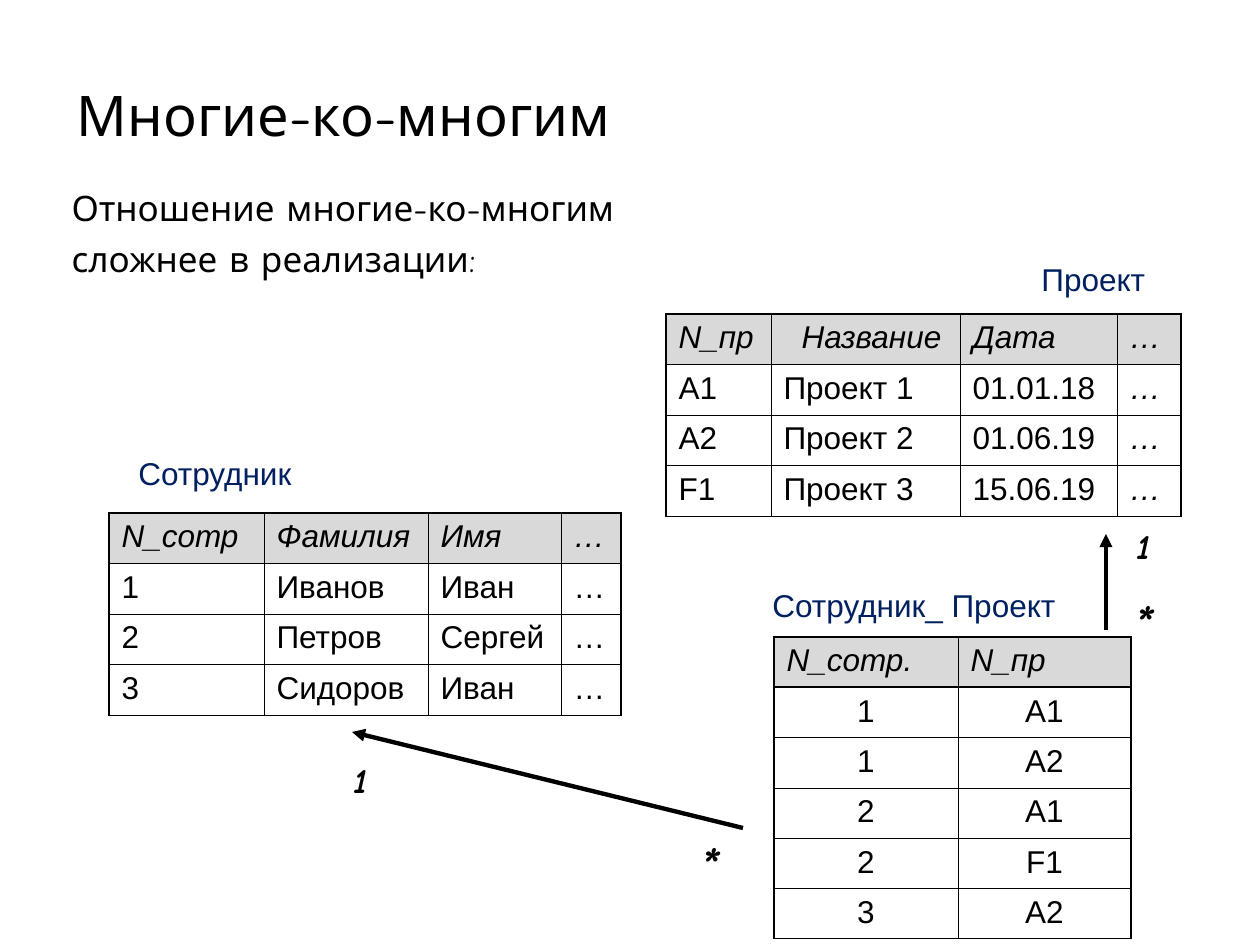
import dataclasses
from typing import Optional

import lxml.etree
import pptx
import pptx.dml.color
import pptx.enum.shapes
import pptx.enum.text
import pptx.oxml
import pptx.oxml.ns
import pptx.util

EMU_PER_PX = 914400 / 126
COLORS = {"text": "000000", "label": "002060", "header": "D9D9D9"}
THIN, THICK = 0.45, 1.08
ALIGN = pptx.enum.text.PP_ALIGN
AUTO_SIZE = pptx.enum.text.MSO_AUTO_SIZE


@dataclasses.dataclass(frozen=True)
class Style:
    font: str
    size: int
    color: str = "text"
    bold: bool = False
    align: ALIGN = ALIGN.LEFT


@dataclasses.dataclass(frozen=True)
class Box:
    left: int
    top: int
    width: int
    height: int


@dataclasses.dataclass(frozen=True)
class Label:
    text: str
    box: Box
    style: Style
    italic: bool = False
    wrap: bool = True


@dataclasses.dataclass(frozen=True)
class Relation:
    left: int
    top: int
    height: int
    columns: tuple[int, ...]
    rows: tuple[tuple[str, ...], ...]
    body_align: ALIGN = ALIGN.LEFT
    italic_column: Optional[int] = None
    header_indents: tuple[int, ...] = ()


@dataclasses.dataclass(frozen=True)
class Arrow:
    start: tuple[int, int]
    end: tuple[int, int]


HEADING = Style("Comic Neue", 32)
BODY = Style("Comic Neue", 20)
CELL = Style("Arial", 18)
NAME = Style("Arial", 18, "label")
ONE = Style("Comic Neue", 20, bold=True, align=ALIGN.CENTER)
MANY = Style("Comic Neue", 28, bold=True, align=ALIGN.CENTER)

RELATIONS = (
    Relation(666, 314, 202, (105, 189, 157, 64), (
        ("N_пр", "Название", "Дата", "…"),
        ("А1", "Проект 1", "01.01.18", "…"),
        ("А2", "Проект 2", "01.06.19", "…"),
        ("F1", "Проект 3", "15.06.19", "…"),
    ), italic_column=3, header_indents=(0, 18, 0, 0)),
    Relation(109, 513, 202, (155, 164, 133, 60), (
        ("N_сотр", "Фамилия", "Имя", "…"),
        ("1", "Иванов", "Иван", "…"),
        ("2", "Петров", "Сергей", "…"),
        ("3", "Сидоров", "Иван", "…"),
    )),
    Relation(774, 637, 302, (184, 173), (
        ("N_сотр.", "N_пр"),
        ("1", "А1"),
        ("1", "А2"),
        ("2", "А1"),
        ("2", "F1"),
        ("3", "А2"),
    ), body_align=ALIGN.CENTER),
)
LABELS = (
    Label("Сотрудник", Box(126, 448, 199, 50), NAME),
    Label("Проект", Box(1029, 254, 158, 50), NAME),
    Label("Сотрудник_ Проект", Box(760, 580, 336, 50), NAME),
    Label("*", Box(1099, 586, 89, 72), MANY, italic=True),
    Label("*", Box(660, 828, 100, 72), MANY, italic=True),
    Label("1", Box(341, 752, 39, 55), ONE, italic=True, wrap=False),
    Label("1", Box(1124, 518, 39, 55), ONE, italic=True, wrap=False),
)
ARROWS = (Arrow((743, 828), (352, 732)), Arrow((1106, 630), (1106, 534)))


def px(length: int) -> pptx.util.Emu:
    return pptx.util.Emu(round(length * EMU_PER_PX))


def rgb(name: str) -> pptx.dml.color.RGBColor:
    return pptx.dml.color.RGBColor.from_string(COLORS[name])


def format_paragraph(paragraph, style: Style, italic: bool = False) -> None:
    paragraph.alignment = style.align
    paragraph.space_before = pptx.util.Pt(0)
    for run in paragraph.runs:
        run.font.name = style.font
        run.font.size = pptx.util.Pt(style.size)
        run.font.color.rgb = rgb(style.color)
        run.font.bold = style.bold
        run.font.italic = italic


def place(shape, box: Box) -> None:
    shape.left, shape.top = px(box.left), px(box.top)
    shape.width, shape.height = px(box.width), px(box.height)


def fill_placeholder(shape, box: Box, text: str, style: Style, anchor) -> None:
    place(shape, box)
    text_frame = shape.text_frame
    text_frame.text = text
    text_frame.auto_size = AUTO_SIZE.NONE
    text_frame.vertical_anchor = anchor
    for index, paragraph in enumerate(text_frame.paragraphs):
        properties = paragraph._p.get_or_add_pPr()
        properties.set("marL", "0")
        properties.set("indent", "0")
        lxml.etree.SubElement(properties, pptx.oxml.ns.qn("a:buNone"))
        format_paragraph(paragraph, style)
        if index:
            paragraph.space_before = pptx.util.Pt(5)


def add_label(slide, label: Label) -> None:
    box = label.box
    shape = slide.shapes.add_textbox(px(box.left), px(box.top), px(box.width), px(box.height))
    text_frame = shape.text_frame
    text_frame.text = label.text
    text_frame.word_wrap = label.wrap
    text_frame.auto_size = AUTO_SIZE.SHAPE_TO_FIT_TEXT
    format_paragraph(text_frame.paragraphs[0], label.style, label.italic)


def set_borders(cell, widths: dict[str, float]) -> None:
    properties = cell._tc.get_or_add_tcPr()
    for side, width in widths.items():
        properties.append(pptx.oxml.parse_xml(
            f'<a:ln{side} {pptx.oxml.ns.nsdecls("a")} w="{pptx.util.Pt(width)}">'
            f'<a:solidFill><a:srgbClr val="{COLORS["text"]}"/></a:solidFill></a:ln{side}>'
        ))


def add_relation(slide, relation: Relation) -> None:
    last_column = len(relation.columns) - 1
    frame = slide.shapes.add_table(
        len(relation.rows), len(relation.columns), px(relation.left), px(relation.top),
        px(sum(relation.columns)), px(relation.height),
    )
    table = frame.table
    table.first_row = table.horz_banding = False
    for column, width in zip(table.columns, relation.columns):
        column.width = px(width)
    for row_index, row in enumerate(relation.rows):
        header = row_index == 0
        style = CELL if header else dataclasses.replace(CELL, align=relation.body_align)
        for column_index, text in enumerate(row):
            cell = table.cell(row_index, column_index)
            cell.text_frame.text = text
            if header and relation.header_indents:
                cell.margin_left += px(relation.header_indents[column_index])
            format_paragraph(cell.text_frame.paragraphs[0], style,
                             header or column_index == relation.italic_column)
            set_borders(cell, {
                "L": THICK if column_index == 0 else THIN,
                "R": THICK if column_index == last_column else THIN,
                "T": THICK if row_index <= 1 else THIN,
                "B": THICK if header else THIN,
            })
            if header:
                cell.fill.solid()
                cell.fill.fore_color.rgb = rgb("header")
            else:
                cell.fill.background()


def add_arrow(slide, arrow: Arrow) -> None:
    connector = slide.shapes.add_connector(
        pptx.enum.shapes.MSO_CONNECTOR.STRAIGHT, *map(px, arrow.start + arrow.end))
    connector.line.color.rgb = rgb("text")
    connector.line.width = pptx.util.Pt(2.5)
    line = connector.line._get_or_add_ln()
    lxml.etree.SubElement(line, pptx.oxml.ns.qn("a:tailEnd"), type="triangle")
    lxml.etree.SubElement(connector._element.spPr, pptx.oxml.ns.qn("a:effectLst"))


def main() -> None:
    presentation = pptx.Presentation()
    presentation.slide_width, presentation.slide_height = px(1260), px(945)
    slide = presentation.slides.add_slide(presentation.slide_layouts[1])
    anchor = pptx.enum.text.MSO_ANCHOR
    fill_placeholder(slide.shapes.title, Box(64, 35, 776, 158),
                     "Многие-ко-многим", HEADING, anchor.MIDDLE)
    fill_placeholder(slide.placeholders[1], Box(59, 180, 575, 149),
                     "Отношение многие-ко-многим\nсложнее в реализации:", BODY, anchor.TOP)
    for relation in RELATIONS:
        add_relation(slide, relation)
    for arrow in ARROWS:
        add_arrow(slide, arrow)
    for label in LABELS:
        add_label(slide, label)
    presentation.save("out.pptx")


if __name__ == "__main__":
    main()
